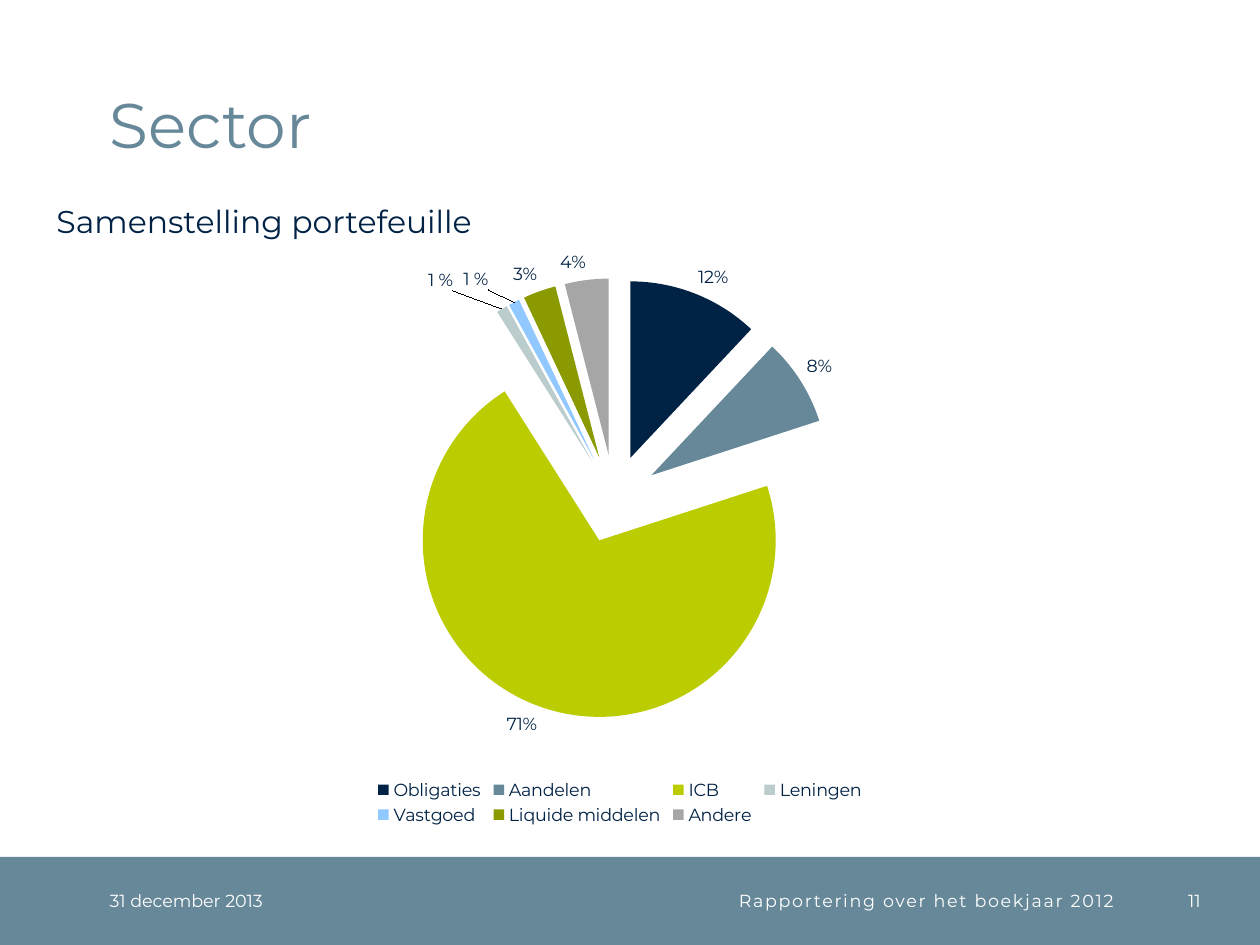
from dataclasses import dataclass

from lxml import etree
from pptx import Presentation
from pptx.chart.data import CategoryChartData
from pptx.dml.color import RGBColor
from pptx.enum.chart import XL_CHART_TYPE, XL_LABEL_POSITION, XL_LEGEND_POSITION
from pptx.enum.shapes import MSO_SHAPE
from pptx.enum.text import MSO_ANCHOR, MSO_AUTO_SIZE, PP_ALIGN
from pptx.oxml.ns import qn
from pptx.util import Inches, Pt

PIE = XL_CHART_TYPE.PIE_EXPLODED
OUTSIDE = XL_LABEL_POSITION.OUTSIDE_END
LEGEND_BOTTOM = XL_LEGEND_POSITION.BOTTOM
RECT = MSO_SHAPE.RECTANGLE
MIDDLE, BOTTOM = MSO_ANCHOR.MIDDLE, MSO_ANCHOR.BOTTOM
LEFT, RIGHT = PP_ALIGN.LEFT, PP_ALIGN.RIGHT
NO_FIT = MSO_AUTO_SIZE.NONE
TITLE_ONLY = 5


@dataclass(frozen=True)
class Theme:
    font: str = "Montserrat"
    navy: str = "002244"
    slate: str = "668899"
    white: str = "FFFFFF"
    title: int = 36
    heading: int = 18
    small: int = 10


THEME = Theme()

# Category, share, colour
PORTFOLIO = [
    ("Obligaties", 0.12, THEME.navy),
    ("Aandelen", 0.08, THEME.slate),
    ("ICB", 0.71, "BBCC00"),
    ("Leningen", 0.01, "BBCCCC"),
    ("Vastgoed", 0.01, "91C8FF"),
    ("Liquide middelen", 0.03, "8B9A00"),
    ("Andere", 0.04, "A6A6A6"),
]
EXPLOSION = 25
# Point index: label text and shift as a fraction of the chart
MOVED_LABELS = {3: ("1 %", -0.04, -0.02), 4: ("1 %", -0.02, -0.01)}


def inches(box):
    return [Inches(v) for v in box]


def style_font(font, size, color):
    for name, value in {"name": THEME.font, "size": Pt(size), "bold": False}.items():
        setattr(font, name, value)
    font.color.rgb = RGBColor.from_string(color)


def set_text(sp, text, size, color, align=LEFT, anchor=MIDDLE, inset=0):
    tf = sp.text_frame
    margins = {f"margin_{side}": Inches(inset) for side in ("left", "right")}
    margins |= {f"margin_{side}": Inches(inset / 2) for side in ("top", "bottom")}
    formats = {"word_wrap": True, "auto_size": NO_FIT, "vertical_anchor": anchor}
    for name, value in (margins | formats).items():
        setattr(tf, name, value)
    p = tf.paragraphs[0]
    p.alignment = align
    r = p.add_run()
    r.text = text
    style_font(r.font, size, color)
    return p


def add_layout(parent, index, **values):
    """Place a chart part by hand, in fractions of the chart."""
    for old in parent.findall(qn("c:layout")):
        parent.remove(old)
    layout = etree.Element(qn("c:layout"))
    manual = etree.SubElement(layout, qn("c:manualLayout"))
    for name, value in values.items():
        etree.SubElement(manual, qn(f"c:{name}")).set("val", str(value))
    parent.insert(index, layout)


def add_header(s, box):
    left, top, width, height = box
    # Title
    title = s.shapes.title
    places = zip(("left", "top", "width", "height"), inches((left, top, width, height)))
    for name, value in places:
        setattr(title, name, value)
    p = set_text(title, "Sector", THEME.title, THEME.slate, anchor=BOTTOM)
    p.line_spacing = Pt(32)
    # Chart heading
    sp = s.shapes.add_textbox(*inches((0.35, top + 1.35, 3.86, 0.4)))
    set_text(sp, "Samenstelling portefeuille", THEME.heading, THEME.navy, inset=0.1)


def add_portfolio_chart(s, box):
    data = CategoryChartData(number_format="0%")
    data.categories = [name for name, _, _ in PORTFOLIO]
    data.add_series("Series 1", [share for _, share, _ in PORTFOLIO])
    chart = s.shapes.add_chart(PIE, *inches(box), data).chart
    chart.has_title = False
    style_font(chart.font, THEME.small, THEME.navy)
    add_layout(chart.plots[0]._element.getparent(), 0, layoutTarget="inner",
               xMode="edge", yMode="edge", x=0.3, y=0.07, w=0.39, h=0.75)

    # Slices
    chart.plots[0].vary_by_categories = True
    series = chart.plots[0].series[0]
    ser = series._element
    for old in ser.findall(qn("c:explosion")):
        ser.remove(old)
    explosion = etree.Element(qn("c:explosion"))
    explosion.set("val", str(EXPLOSION))
    ser.find(qn("c:tx")).addnext(explosion)
    for i, (_, _, color) in enumerate(PORTFOLIO):
        fill = series.points[i].format.fill
        fill.solid()
        fill.fore_color.rgb = RGBColor.from_string(color)

    # Labels
    labels = series.data_labels
    formats = {"show_value": True, "number_format": "0%",
               "number_format_is_linked": False, "position": OUTSIDE}
    for name, value in formats.items():
        setattr(labels, name, value)
    style_font(labels.font, THEME.small, THEME.navy)
    for i, (text, _, _) in MOVED_LABELS.items():
        label = series.points[i].data_label
        r = label.text_frame.paragraphs[0].add_run()
        r.text = text
        style_font(r.font, THEME.small, THEME.navy)
        label.position = OUTSIDE
    moved = ser.find(qn("c:dLbls")).findall(qn("c:dLbl"))
    for element, (_, dx, dy) in zip(moved, MOVED_LABELS.values()):
        add_layout(element, 1, x=dx, y=dy)

    # Legend
    chart.has_legend = True
    legend = chart.legend
    legend.position = LEGEND_BOTTOM
    legend.include_in_layout = False
    style_font(legend.font, THEME.small, THEME.navy)
    add_layout(legend._element, 1, xMode="edge", yMode="edge",
               x=0.28, y=0.91, w=0.44, h=0.09)


def add_footer(s, box):
    left, top, width, height = box
    # Band
    band = s.shapes.add_shape(RECT, *inches(box))
    band.shadow.inherit = False
    band.fill.solid()
    band.fill.fore_color.rgb = RGBColor.from_string(THEME.slate)
    band.line.fill.background()
    # Date, report name and page number
    fields = [
        ("31 december 2013", 0.87, 1.77, LEFT, 0),
        ("Rapportering over het boekjaar 2012", 2.64, 6.2, RIGHT, 100),
        ("11", 9.04, 0.49, RIGHT, 0),
    ]
    for text, x, w, align, spacing in fields:
        sp = s.shapes.add_textbox(*inches((left + x, top, w, height)))
        p = set_text(sp, text, THEME.small, THEME.white, align)
        if spacing:
            p.runs[0].font._element.set("spc", str(spacing))


def main():
    prs = Presentation()
    prs.slide_width, prs.slide_height = Inches(10), Inches(7.5)
    s = prs.slides.add_slide(prs.slide_layouts[TITLE_ONLY])
    add_footer(s, (0, 6.8, 10, 0.7))
    add_header(s, (0.87, 0.2, 8.63, 1.08))
    add_portfolio_chart(s, (0.43, 1.86, 8.98, 4.72))
    prs.save("out.pptx")


if __name__ == "__main__":
    main()
